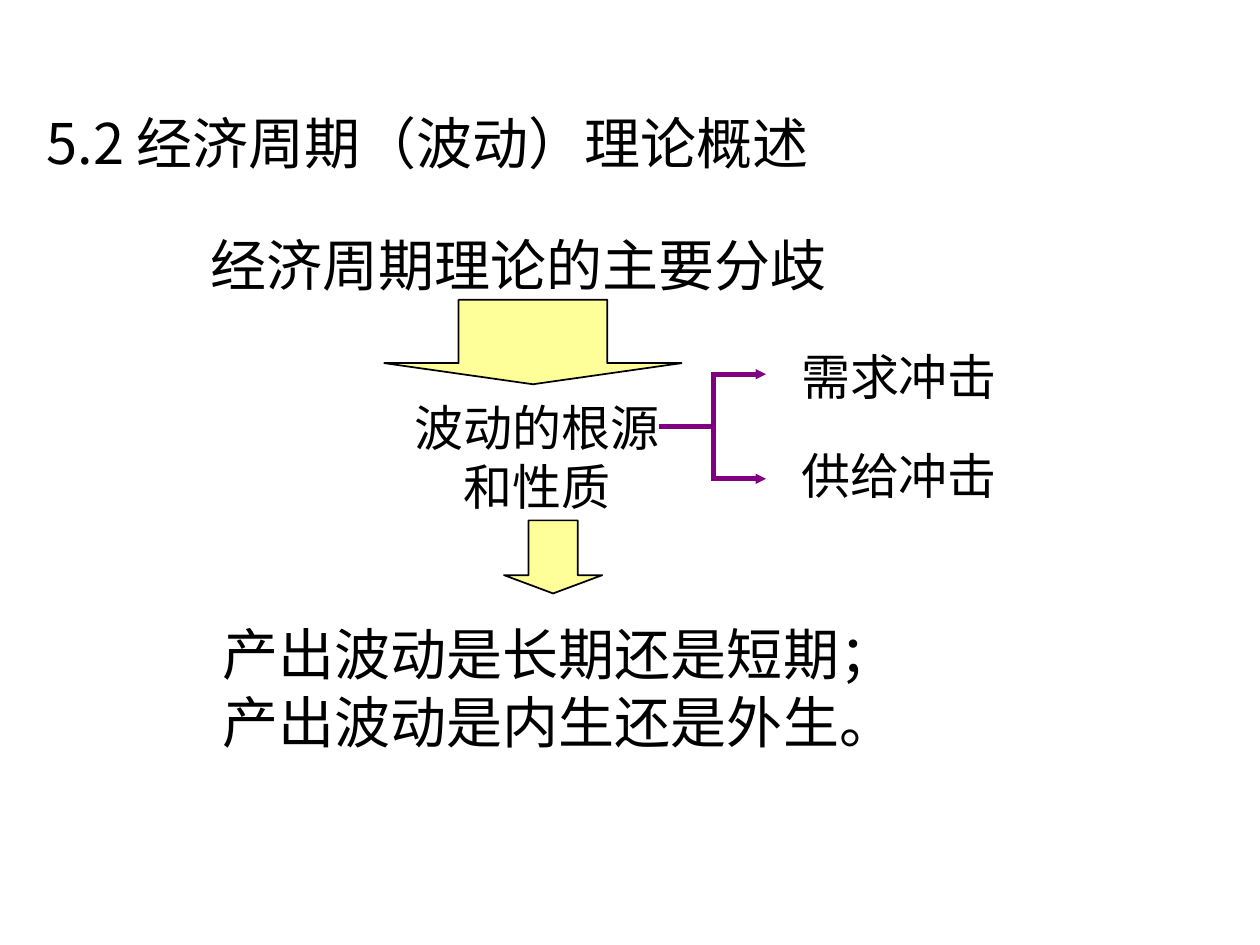
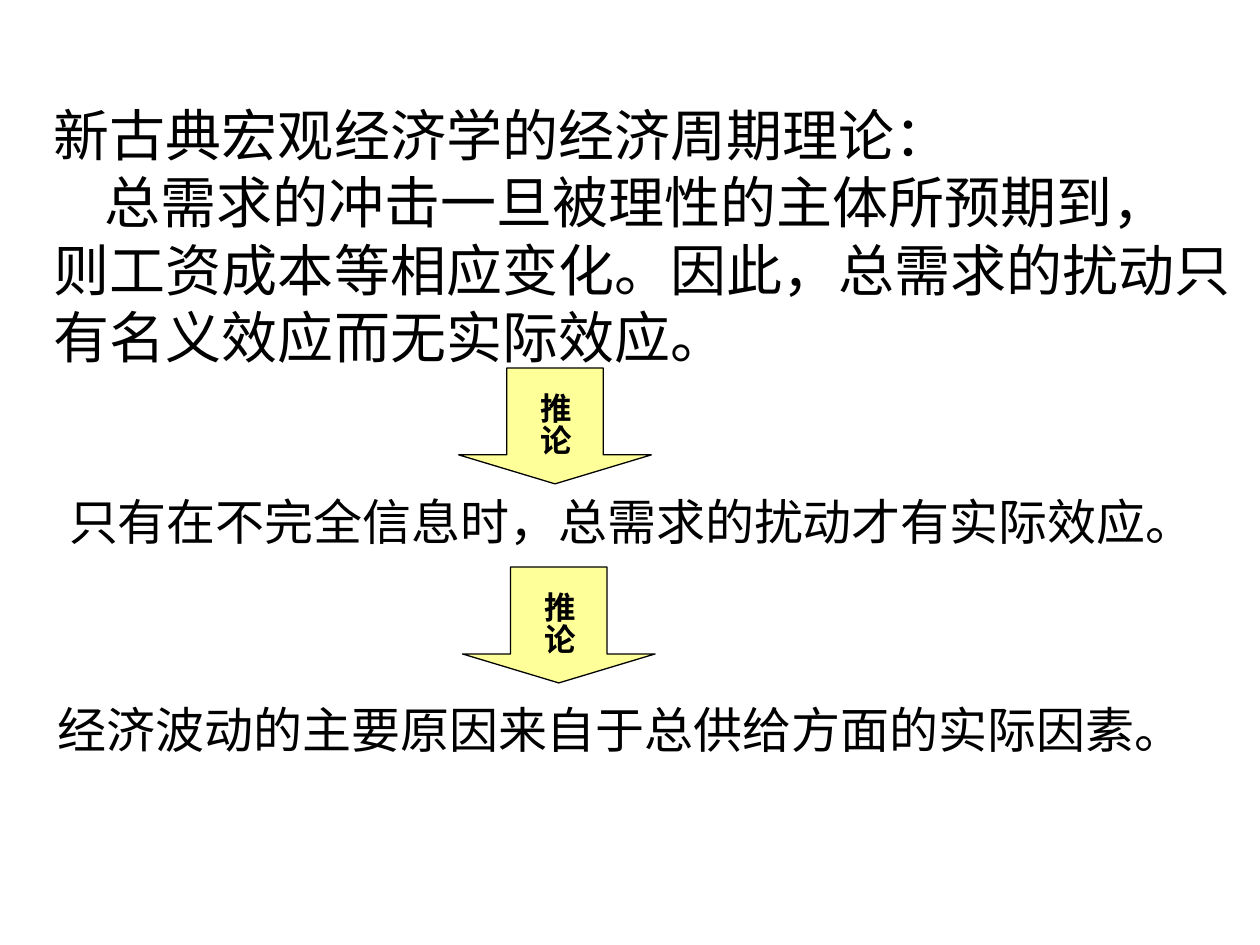
import pptx
import pptx.dml.color
import pptx.enum.shapes
import pptx.enum.text
import pptx.oxml.ns
import pptx.util
from lxml import etree
from pptx.util import Inches

COLORS = {"text": "000000", "arrow": "FFFF99", "bracket": "800080"}
SANS_SC = "Noto Sans CJK SC"
SANS_JP = "Noto Sans CJK JP"
LARGE, MEDIUM, SMALL = 32, 28, 18
LINE_HEIGHT = 1.2
CENTER = pptx.enum.text.PP_ALIGN.CENTER
LEFT = pptx.enum.text.PP_ALIGN.LEFT


def color(name):
    return pptx.dml.color.RGBColor.from_string(COLORS[name])


def add_child(parent, tag, **attributes):
    return etree.SubElement(parent, pptx.oxml.ns.qn(tag), **attributes)


def format_runs(paragraph, size, font, east_asian, bold=False):
    for run in paragraph.runs:
        run.font.size = pptx.util.Pt(size)
        run.font.name = font
        run.font.bold = bold
        run.font.color.rgb = color("text")
        add_child(run.font._element, "a:ea", typeface=east_asian)


def add_text(slide, box, lines, size, font=SANS_JP, east_asian=None,
             align=LEFT, wrap=False, indents=None):
    shape = slide.shapes.add_textbox(*map(Inches, box))
    frame = shape.text_frame
    frame.text = "\n".join(lines)
    frame.word_wrap = wrap
    if not wrap:
        frame.auto_size = pptx.enum.text.MSO_AUTO_SIZE.SHAPE_TO_FIT_TEXT
    for index, paragraph in enumerate(frame.paragraphs):
        paragraph.alignment = align
        paragraph.line_spacing = pptx.util.Pt(size * LINE_HEIGHT)
        format_runs(paragraph, size, font, east_asian or font)
        if indents and index in indents:
            paragraph._p.get_or_add_pPr().set("indent", str(Inches(indents[index])))


def add_down_arrow(slide, box, line_width, label=None):
    arrow = slide.shapes.add_shape(
        pptx.enum.shapes.MSO_SHAPE.DOWN_ARROW, *map(Inches, box))
    arrow.shadow.inherit = False
    arrow.adjustments[0], arrow.adjustments[1] = 0.5, 0.25
    arrow.fill.solid()
    arrow.fill.fore_color.rgb = color("arrow")
    arrow.line.color.rgb = color("text")
    arrow.line.width = pptx.util.Pt(line_width)
    if label:
        frame = arrow.text_frame
        frame.text = label
        frame.word_wrap = False
        frame.vertical_anchor = pptx.enum.text.MSO_ANCHOR.MIDDLE
        frame.margin_left = frame.margin_right = Inches(0.05)
        frame.margin_top, frame.margin_bottom = Inches(0.2), Inches(0.1)
        frame._txBody.bodyPr.set("vert", "eaVert")
        frame.paragraphs[0].alignment = CENTER
        format_runs(frame.paragraphs[0], SMALL, "Arial", SANS_SC, bold=True)


def add_bracket(slide, box):
    left, top, width, height = box
    right, bottom = left + width, top + height
    spine, middle = left + width / 2, top + height / 2
    strokes = [
        (left, middle, spine, middle, False),
        (spine, top, spine, bottom, False),
        (spine, top, right, top, True),
        (spine, bottom, right, bottom, True),
    ]
    for *ends, has_arrowhead in strokes:
        connector = slide.shapes.add_connector(
            pptx.enum.shapes.MSO_CONNECTOR.STRAIGHT, *map(Inches, ends))
        connector.line.color.rgb = color("bracket")
        connector.line.width = pptx.util.Pt(3)
        outline = connector.line._get_or_add_ln()
        outline.set("cap", "sq")
        if has_arrowhead:
            add_child(outline, "a:tailEnd", type="triangle", w="sm", len="sm")
        add_child(connector._element.spPr, "a:effectLst")


def add_shocks(slide, box):
    left, top, width, height = box
    add_bracket(slide, (left, top + 0.27, 0.83, 0.83))
    for row, shock in enumerate(["需求冲击", "供给冲击"]):
        add_text(slide, (left + 1.01, top + row * 0.79, width - 1.01, height - 0.79),
                 [shock], MEDIUM)


def build_disagreement_slide(slide):
    add_text(slide, (0.27, 0.81, 9.34, 0.81), ["5.2 经济周期（波动）理论概述"],
             LARGE, SANS_SC, wrap=True)
    add_text(slide, (0.27, 1.78, 9, 0.75), ["经济周期理论的主要分歧"],
             LARGE, SANS_SC, wrap=True, indents={0: 1.3})
    add_down_arrow(slide, (3.05, 2.38, 2.36, 0.67), 1)
    add_text(slide, (3.19, 3.11, 2.14, 1.04), ["波动的根源", "和性质"],
             MEDIUM, align=CENTER)
    add_shocks(slide, (5.25, 2.7, 2.76, 1.36))
    add_text(slide, (1.67, 4.87, 5.54, 1.17),
             ["产出波动是长期还是短期；", "产出波动是内生还是外生。"], LARGE)
    add_down_arrow(slide, (4, 4.13, 0.78, 0.58), 1)


def build_new_classical_slide(slide):
    theory = [
        "新古典宏观经济学的经济周期理论：",
        "总需求的冲击一旦被理性的主体所预期到，",
        "则工资成本等相应变化。因此，总需求的扰动只",
        "有名义效应而无实际效应。",
    ]
    add_text(slide, (0.33, 0.75, 9.6, 2.24), theory, LARGE, SANS_SC,
             wrap=True, indents={1: 0.4})
    inferences = [
        (3.64, 2.92, 0.45, 3.85, "只有在不完全信息时，总需求的扰动才有实际效应。"),
        (3.67, 4.5, 0.36, 5.5, "经济波动的主要原因来自于总供给方面的实际因素。"),
    ]
    for arrow_left, arrow_top, text_left, text_top, conclusion in inferences:
        add_down_arrow(slide, (arrow_left, arrow_top, 1.53, 0.92), 0.75, "推论")
        add_text(slide, (text_left, text_top, 9.13, 0.57), [conclusion],
                 MEDIUM, "Arial", SANS_SC)


def main():
    presentation = pptx.Presentation()
    presentation.slide_width = Inches(10)
    presentation.slide_height = Inches(7.5)
    for build in (build_disagreement_slide, build_new_classical_slide):
        build(presentation.slides.add_slide(presentation.slide_layouts[6]))
    presentation.save("out.pptx")


if __name__ == "__main__":
    main()
